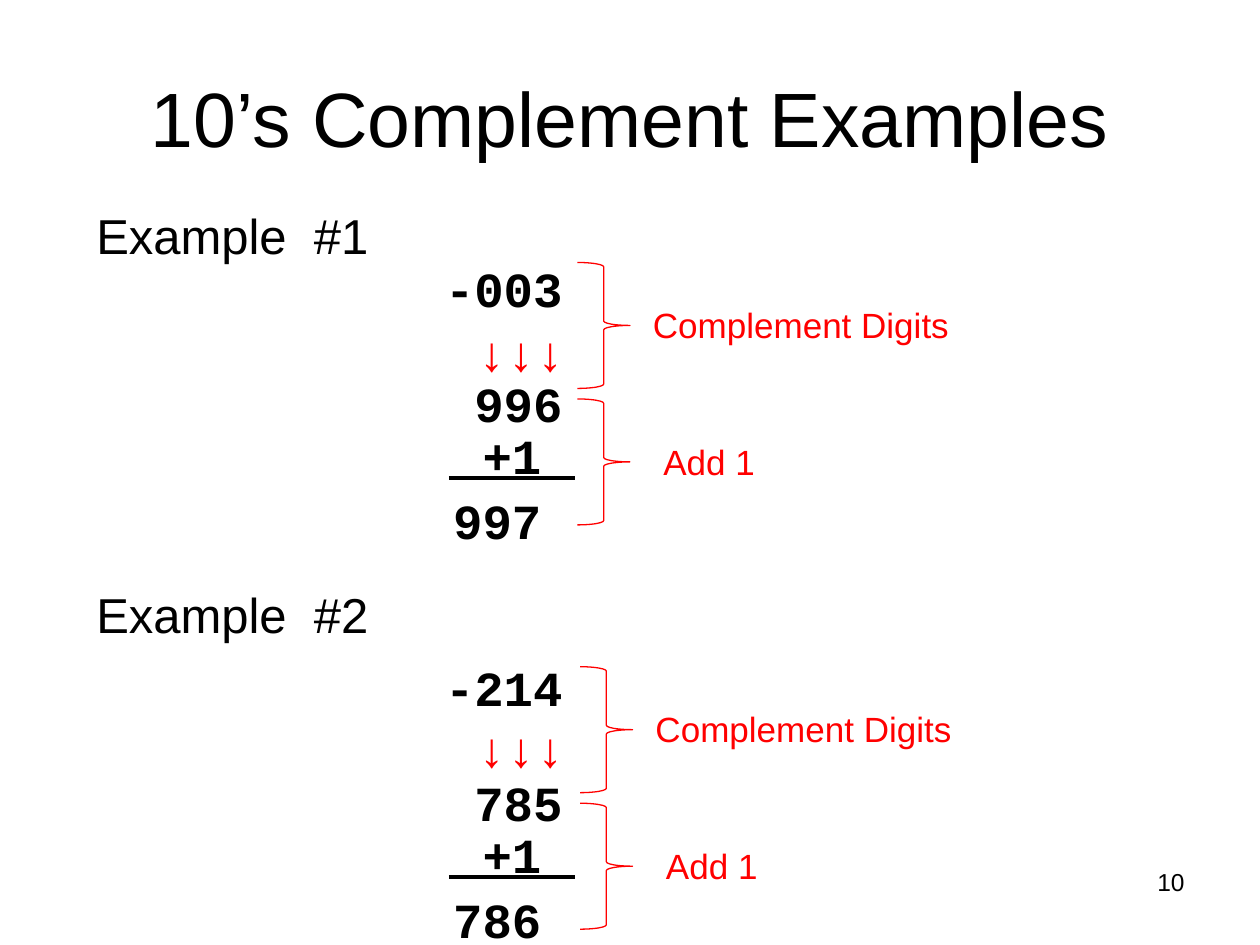
from lxml import etree
from pptx import Presentation
from pptx import util as u
from pptx.dml.color import RGBColor
from pptx.enum import shapes, text
from pptx.oxml.ns import qn

BLACK, RED = "000000", "FF0000"
SANS, MONO = "Arial", "Courier New"
INSET = 7.2
LEFT, CENTER, RIGHT = text.PP_ALIGN.LEFT, text.PP_ALIGN.CENTER, text.PP_ALIGN.RIGHT


def color(value):
    return RGBColor.from_string(value)


class Painter:
    def __init__(self, slide):
        self.slide = slide

    def style(self, para, size, font=SANS, ink=BLACK, bold=False, align=LEFT):
        para.alignment = align
        for span in para.runs:
            span.font.name = font
            span.font.size = u.Pt(size)
            span.font.bold = bold
            span.font.color.rgb = color(ink)

    def title(self, wording, left, top, width, height):
        box = self.slide.shapes.title
        box.left, box.top = u.Pt(left), u.Pt(top)
        box.width, box.height = u.Pt(width), u.Pt(height)
        frame = box.text_frame
        frame.text = wording
        frame.vertical_anchor = text.MSO_ANCHOR.MIDDLE
        self.style(frame.paragraphs[0], 44, align=CENTER)

    def label(self, wording, left, top, width, height, size, inset_right=INSET, **look):
        box = self.slide.shapes.add_textbox(
            u.Pt(left), u.Pt(top), u.Pt(width), u.Pt(height))
        frame = box.text_frame
        frame.word_wrap = True
        frame.margin_right = u.Pt(inset_right)
        frame.text = wording
        self.style(frame.paragraphs[0], size, **look)

    def number(self, digits, top, right=328.5, shift=0, ink=BLACK):
        """Right-aligned row of a calculation, moved left by shift."""
        width = 150
        self.label(digits, right - width, top, width, 41, 28, INSET + shift,
                   font=MONO, ink=ink, bold=True, align=RIGHT)

    def rule(self, left, right, y):
        line = self.slide.shapes.add_connector(
            shapes.MSO_CONNECTOR.STRAIGHT, u.Pt(left), u.Pt(y), u.Pt(right), u.Pt(y))
        line.line.color.rgb = color(BLACK)
        line.line.width = u.Pt(2.25)
        etree.SubElement(line._element.spPr, qn("a:effectLst"))

    def brace(self, left, top):
        brace = self.slide.shapes.add_shape(
            shapes.MSO_SHAPE.RIGHT_BRACE, u.Pt(left), u.Pt(top), u.Pt(30), u.Pt(72))
        brace.shadow.inherit = False
        brace.fill.background()
        brace.line.color.rgb = color(RED)
        brace.line.width = u.Pt(0.75)

    def example(self, heading, heading_top, numbers, top, arrows_top, brace_left, brace_top):
        start, complement, total = numbers
        one_space = 12
        self.label(heading, 48, heading_top, 186, 41, 28)
        self.number(start, top)
        self.number("↓↓↓", arrows_top, right=330, ink=RED)
        self.number(complement, top + 66)
        self.number("+1", top + 95.8, shift=one_space)
        self.rule(256.5, 328.5, top + 129)
        self.number(total, top + 132.5, shift=one_space)
        steps = [("Complement Digits", 36, 0), ("Add 1", 42, 78)]
        for step, gap, drop in steps:
            self.brace(brace_left, brace_top + drop)
            self.label(step, brace_left + gap, brace_top + drop + 20, 210, 31.5, 20, ink=RED)


def main():
    deck = Presentation()
    deck.slide_width, deck.slide_height = u.Pt(720), u.Pt(540)
    page = Painter(deck.slides.add_slide(deck.slide_layouts[5]))
    page.title("10’s Complement Examples", 36, 21.6, 648, 90)
    page.label("10", 516, 492, 168, 37.5, 14, align=RIGHT)
    page.example("Example  #1", 114, ("-003", "996", "997"), 144, 180.7, 330, 150)
    page.example("Example  #2", 330.5, ("-214", "785", "786"), 372, 406.8, 331.5, 381)
    deck.save("out.pptx")


if __name__ == "__main__":
    main()
